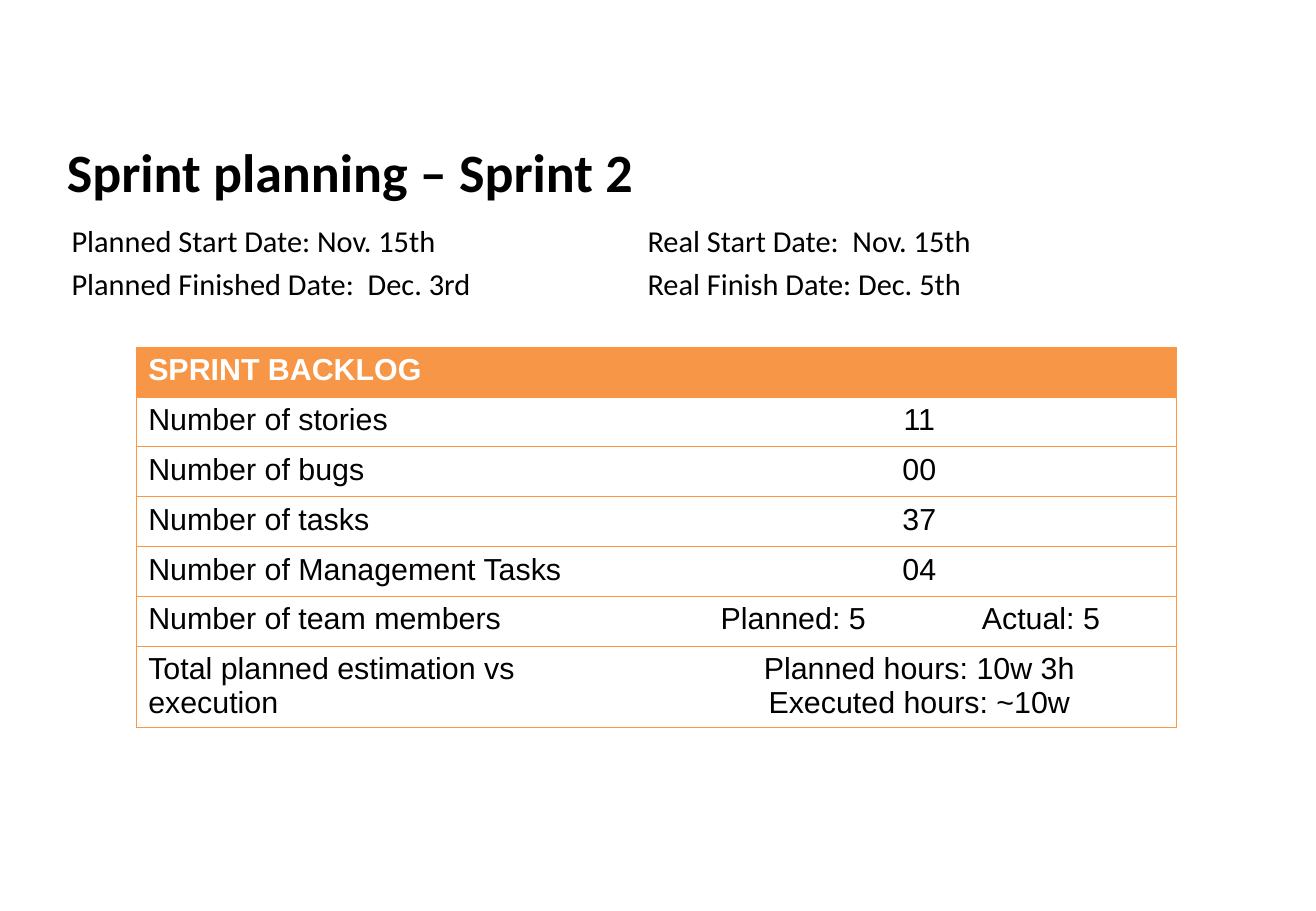
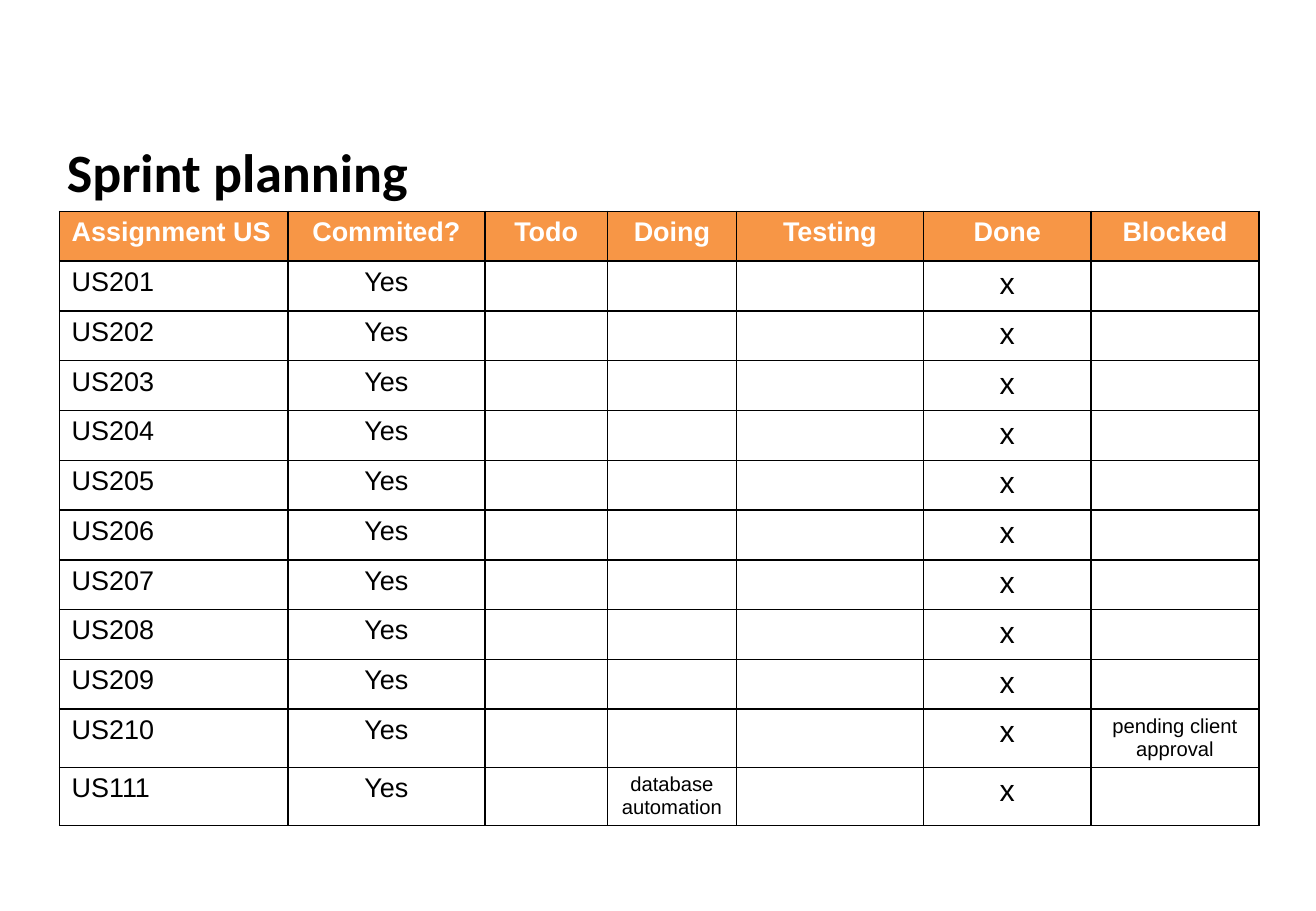
from lxml import etree
from pptx import Presentation
from pptx.dml.color import RGBColor
from pptx.enum.text import MSO_ANCHOR, PP_ALIGN
from pptx.oxml.ns import qn
from pptx.util import Pt

PX = 9144  # EMU in one px, 100 px to the inch
LEFT, CENTER = PP_ALIGN.LEFT, PP_ALIGN.CENTER
MIDDLE = MSO_ANCHOR.MIDDLE
TITLE_ONLY = 5

COLORS = {
    "text": "000000",
    "paper": "FFFFFF",
    "header": "F79646",
    "rule": "FF953E",
    "grid": "000000",
}
TITLE_FONT = {"name": "Calibri", "size": Pt(32), "bold": True}
DATE_FONT = {"name": "Calibri", "size": Pt(18), "bold": False}
CELL_FONT = {"name": "Arial", "size": Pt(18), "bold": False}

ROW_HEIGHT = 41
BACKLOG = [
    ("SPRINT BACKLOG", ""),
    ("Number of stories", "11"),
    ("Number of bugs", "00"),
    ("Number of tasks", "37"),
    ("Number of Management Tasks", "04"),
    ("Number of team members", "Planned: 5\tActual: 5"),
    ("Total planned estimation vs execution",
     "Planned hours: 10w 3h\nExecuted hours: ~10w"),
]
DATES = [
    "Planned Start Date: Nov. 15th\tReal Start Date:  Nov. 15th",
    "Planned Finished Date:  Dec. 3rd\tReal Finish Date: Dec. 5th",
]
BOARD_HEAD = ["Assignment US", "Commited?", "Todo", "Doing", "Testing", "Done", "Blocked"]
STORIES = [f"US{number}" for number in (*range(201, 211), 111)]
REMARKS = {("US210", "Blocked"): "pending client approval",
           ("US111", "Doing"): "database automation"}


def px(*lengths):
    return [length * PX for length in lengths]


def style_para(para, font, color="text", align=LEFT):
    para.alignment = align
    for span in para.runs:
        for key, value in font.items():
            setattr(span.font, key, value)
        span.font.color.rgb = RGBColor.from_string(COLORS[color])


def add_tab(para, position):
    tabs = etree.SubElement(para._p.get_or_add_pPr(), qn("a:tabLst"))
    etree.SubElement(tabs, qn("a:tab"), pos=str(position * PX), algn="l")


def add_page(deck, title, box):
    page = deck.slides.add_slide(deck.slide_layouts[TITLE_ONLY])
    heading = page.shapes.title
    heading.left, heading.top, heading.width, heading.height = px(*box)
    heading.text_frame.text = title
    heading.text_frame.vertical_anchor = MIDDLE
    style_para(heading.text_frame.paragraphs[0], TITLE_FONT)
    return page


def add_dates(page, box, tab):
    frame = page.shapes.add_textbox(*px(*box)).text_frame
    frame.word_wrap = True
    frame.text = "\n".join(DATES)
    for para in frame.paragraphs:
        para.space_after = Pt(4)
        add_tab(para, tab)
        style_para(para, DATE_FONT)


def set_borders(cell, color, width, hidden=()):
    properties = cell._tc.get_or_add_tcPr()
    for side in "LRTB":
        line = etree.SubElement(properties, qn(f"a:ln{side}"), w=str(Pt(width)))
        if side in hidden:
            etree.SubElement(line, qn("a:noFill"))
        else:
            fill = etree.SubElement(line, qn("a:solidFill"))
            etree.SubElement(fill, qn("a:srgbClr"), val=COLORS[color])


def fill_cell(cell, text, font, is_head, align):
    cell.fill.solid()
    cell.fill.fore_color.rgb = RGBColor.from_string(COLORS["header" if is_head else "paper"])
    cell.text_frame.text = text
    for para in cell.text_frame.paragraphs:
        style_para(para, font | {"bold": is_head}, "paper" if is_head else "text", align)


def add_grid(page, corner, widths, heights):
    box = px(*corner, sum(widths), sum(heights))
    table = page.shapes.add_table(len(heights), len(widths), *box).table
    table.horz_banding = False
    for column, width in zip(table.columns, px(*widths)):
        column.width = width
    for row, height in zip(table.rows, px(*heights)):
        row.height = height
    return table


def add_backlog(page, corner):
    heights = [ROW_HEIGHT] * (len(BACKLOG) - 1) + [67]
    table = add_grid(page, corner, [433, 423], heights)
    for row, texts in enumerate(BACKLOG):
        for column, text in enumerate(texts):
            cell = table.cell(row, column)
            # Only the outer frame and the lines between rows show
            set_borders(cell, "rule", 0.75, hidden="L" if column else "R")
            has_tab = "\t" in text
            align = CENTER if column and not has_tab else LEFT
            fill_cell(cell, text, CELL_FONT, row == 0, align)
            if has_tab:
                cell.margin_left = 48 * PX
                add_tab(cell.text_frame.paragraphs[0], 215)


def board_entry(story, heading):
    """Give the text and point size of one cell of the board."""
    if (story, heading) in REMARKS:
        return REMARKS[story, heading], 12
    entries = {"Assignment US": (story, 16), "Commited?": ("Yes", 16), "Done": ("x", 18)}
    return entries.get(heading, ("", 18))


def add_board(page, corner):
    rows = [[(heading, 16) for heading in BOARD_HEAD]]
    rows += [[board_entry(story, heading) for heading in BOARD_HEAD] for story in STORIES]
    # The rows with remarks hold two lines
    remarked = {story for story, _ in REMARKS}
    heights = [ROW_HEIGHT] + [48 if story in remarked else ROW_HEIGHT for story in STORIES]
    table = add_grid(page, corner, [188, 162, 101, 106, 154, 138, 138], heights)
    for row, entries in enumerate(rows):
        for column, (text, size) in enumerate(entries):
            cell = table.cell(row, column)
            set_borders(cell, "grid", 1)
            font = CELL_FONT | {"size": Pt(size)}
            fill_cell(cell, text, font, row == 0, CENTER if column else LEFT)


def main():
    deck = Presentation()
    deck.slide_width, deck.slide_height = px(1083, 750)

    # Sprint dates and backlog
    page = add_page(deck, "Sprint planning – Sprint 2", (45, 109, 989, 63))
    add_backlog(page, (112, 286))
    add_dates(page, (49, 178, 989, 78), tab=474)

    # Story board
    page = add_page(deck, "Sprint planning", (45, 109, 1008, 63))
    add_board(page, (49, 174))

    deck.save("out.pptx")


if __name__ == "__main__":
    main()
